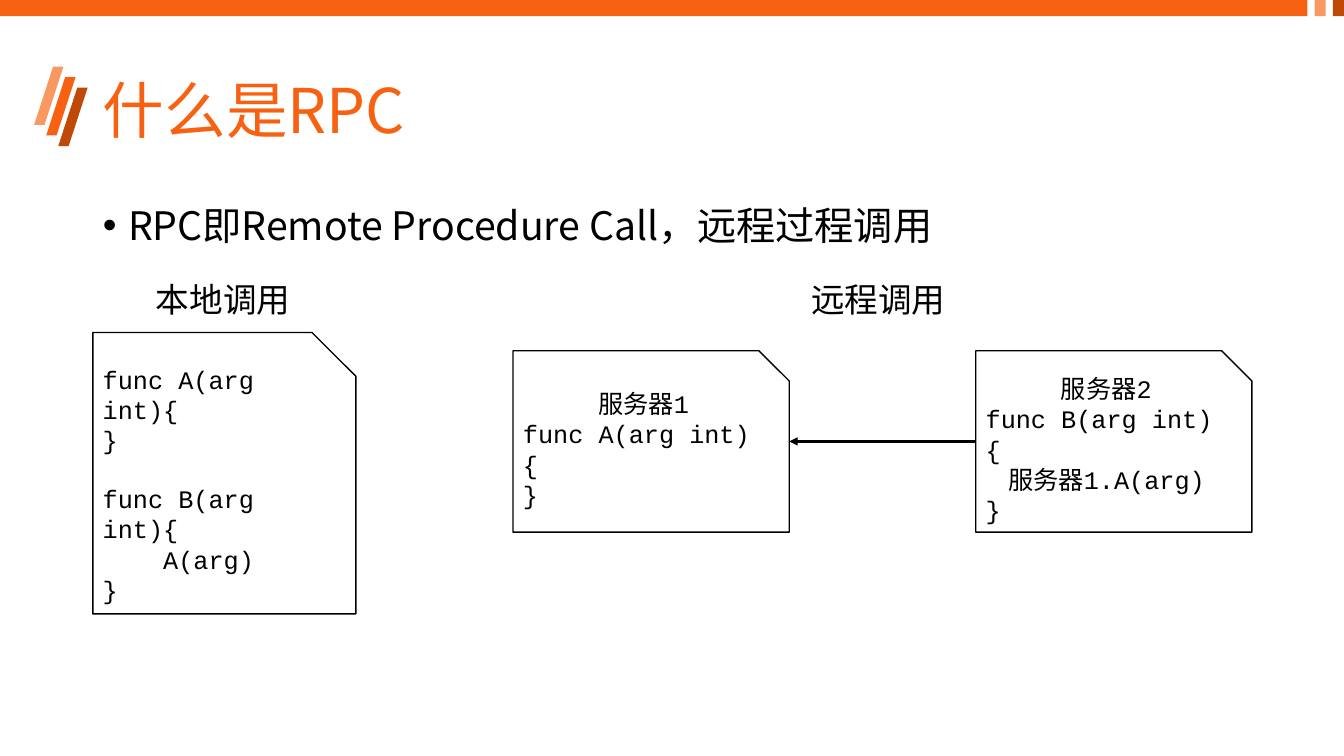
from typing import NamedTuple

import lxml.etree
import pptx
import pptx.dml.color
import pptx.enum.shapes
import pptx.enum.text
import pptx.oxml.ns
import pptx.util
from pptx.util import Cm

ORANGE = pptx.dml.color.RGBColor(0xF7, 0x62, 0x12)
LIGHT_ORANGE = pptx.dml.color.RGBColor(0xFA, 0x98, 0x62)
DARK_ORANGE = pptx.dml.color.RGBColor(0xC1, 0x49, 0x07)
BLACK = pptx.dml.color.RGBColor(0, 0, 0)
WHITE = pptx.dml.color.RGBColor(0xFF, 0xFF, 0xFF)

SANS = "Noto Sans CJK SC"
MONO = "Courier New"
SHAPE = pptx.enum.shapes.MSO_SHAPE
ALIGN = pptx.enum.text.PP_ALIGN
ANCHOR = pptx.enum.text.MSO_ANCHOR
qn = pptx.oxml.ns.qn


class Box(NamedTuple):
    """A region of the slide, in centimetres."""
    left: float
    top: float
    width: float
    height: float

    def emu(self):
        return [Cm(length) for length in self]


def write(paragraph, text, *, size, font=SANS, color=BLACK, align=ALIGN.LEFT,
          line_spacing=None, space_before=0, bullet=None):
    if bullet:
        properties = paragraph._p.get_or_add_pPr()
        properties.set("marL", str(Cm(0.635)))
        properties.set("indent", str(-Cm(0.635)))
        lxml.etree.SubElement(properties, qn("a:buFont"), typeface="Arial")
        lxml.etree.SubElement(properties, qn("a:buChar"), char=bullet)
    paragraph.alignment = align
    paragraph.space_before = pptx.util.Pt(space_before)
    if line_spacing:
        paragraph.line_spacing = line_spacing
    run = paragraph.add_run()
    run.text = text
    run.font.size = pptx.util.Pt(size)
    run.font.name = font
    run.font.color.rgb = color
    east_asian = lxml.etree.Element(qn("a:ea"), typeface=SANS)
    run.font._element.find(qn("a:latin")).addnext(east_asian)


def add_block(slide, preset, box, fill):
    block = slide.shapes.add_shape(preset, *box.emu())
    block.shadow.inherit = False
    block.fill.solid()
    block.fill.fore_color.rgb = fill
    block.line.fill.background()
    return block


def draw_top_band(slide, box):
    tick, gap = 0.28, 0.18
    band = box.width - 2 * (tick + gap)
    left = box.left
    for width, color in ((band, ORANGE), (tick, LIGHT_ORANGE), (tick, DARK_ORANGE)):
        add_block(slide, SHAPE.RECTANGLE, Box(left, box.top, width, box.height), color)
        left += width + gap


def draw_title_slashes(slide, box):
    """Three slanted strokes stepping down to the right."""
    width, height = 0.74, 1.47
    step_x = (box.width - width) / 2
    step_y = (box.height - height) / 2
    for i, color in enumerate((LIGHT_ORANGE, ORANGE, DARK_ORANGE)):
        stroke = Box(box.left + i * step_x, box.top + i * step_y, width, height)
        add_block(slide, SHAPE.PARALLELOGRAM, stroke, color).adjustments[0] = 0.646


def fill_placeholder(placeholder, box, text, anchor, **text_format):
    placeholder.left, placeholder.top, placeholder.width, placeholder.height = box.emu()
    frame = placeholder.text_frame
    frame.auto_size = pptx.enum.text.MSO_AUTO_SIZE.NONE
    frame.vertical_anchor = anchor
    write(frame.paragraphs[0], text, line_spacing=0.9, **text_format)


def add_label(slide, box, text):
    frame = slide.shapes.add_textbox(*box.emu()).text_frame
    frame.word_wrap = False
    write(frame.paragraphs[0], text, size=24)


def add_code_card(slide, box, functions, heading=None):
    """A snipped card of code; functions after the first are set one line apart."""
    card = add_block(slide, SHAPE.SNIP_1_RECTANGLE, box, WHITE)
    card.line.color.rgb = BLACK
    card.line.width = pptx.util.Pt(1)
    frame = card.text_frame
    frame.word_wrap = True
    frame.vertical_anchor = ANCHOR.MIDDLE
    lines = [(heading, ALIGN.CENTER, 0)] if heading else []
    for f, code in enumerate(functions):
        for n, line in enumerate(code):
            lines.append((line, ALIGN.LEFT, 20.4 if f and not n else 0))
    for i, (line, align, space) in enumerate(lines):
        paragraph = frame.add_paragraph() if i else frame.paragraphs[0]
        write(paragraph, line, size=18, font=MONO, align=align, space_before=space)
    return card


def add_call_arrow(slide, caller, callee):
    arrow = slide.shapes.add_connector(pptx.enum.shapes.MSO_CONNECTOR.STRAIGHT, 0, 0, 0, 0)
    arrow.begin_connect(caller, 1)
    arrow.end_connect(callee, 3)
    arrow.line.color.rgb = BLACK
    arrow.line.width = pptx.util.Pt(1.5)
    lxml.etree.SubElement(arrow.line._get_or_add_ln(), qn("a:tailEnd"), type="triangle")
    lxml.etree.SubElement(arrow._element.spPr, qn("a:effectLst"))


def draw_local_call(slide, box):
    add_label(slide, Box(box.left + 1.34, box.top, 3.94, 1.27), "本地调用")
    add_code_card(slide, Box(box.left, box.top + 1.47, box.width, box.height - 1.47),
                  [["func A(arg int){", "}"],
                   ["func B(arg int){", "    A(arg)", "}"]])


def draw_remote_call(slide, box):
    card_width = 6.96
    top, height = box.top + 1.93, box.height - 1.93
    callee = add_code_card(slide, Box(box.left, top, card_width, height),
                           [["func A(arg int){", "}"]], "服务器1")
    caller = add_code_card(
        slide, Box(box.left + box.width - card_width, top, card_width, height),
        [["func B(arg int){", "    服务器1.A(arg)", "}"]], "服务器2")
    add_label(slide, Box(box.left + 7.26, box.top, 3.94, 1.27), "远程调用")
    add_call_arrow(slide, caller, callee)


def main():
    deck = pptx.Presentation()
    deck.slide_width, deck.slide_height = Cm(33.87), Cm(19.05)
    slide = deck.slides.add_slide(deck.slide_layouts[1])
    draw_title_slashes(slide, Box(0.86, 1.68, 1.35, 2.0))
    draw_top_band(slide, Box(0, 0, 33.87, 0.41))
    title, body = slide.placeholders
    fill_placeholder(title, Box(2.34, 1.02, 29.21, 3.68), "什么是RPC",
                     ANCHOR.MIDDLE, size=44, color=ORANGE)
    fill_placeholder(body, Box(2.34, 5.08, 29.21, 12.09),
                     "RPC即Remote Procedure Call，远程过程调用",
                     ANCHOR.TOP, size=28, bullet="•")
    draw_local_call(slide, Box(2.34, 6.91, 6.63, 8.56))
    draw_remote_call(slide, Box(12.93, 6.91, 18.62, 6.5))
    deck.save("out.pptx")


if __name__ == "__main__":
    main()
